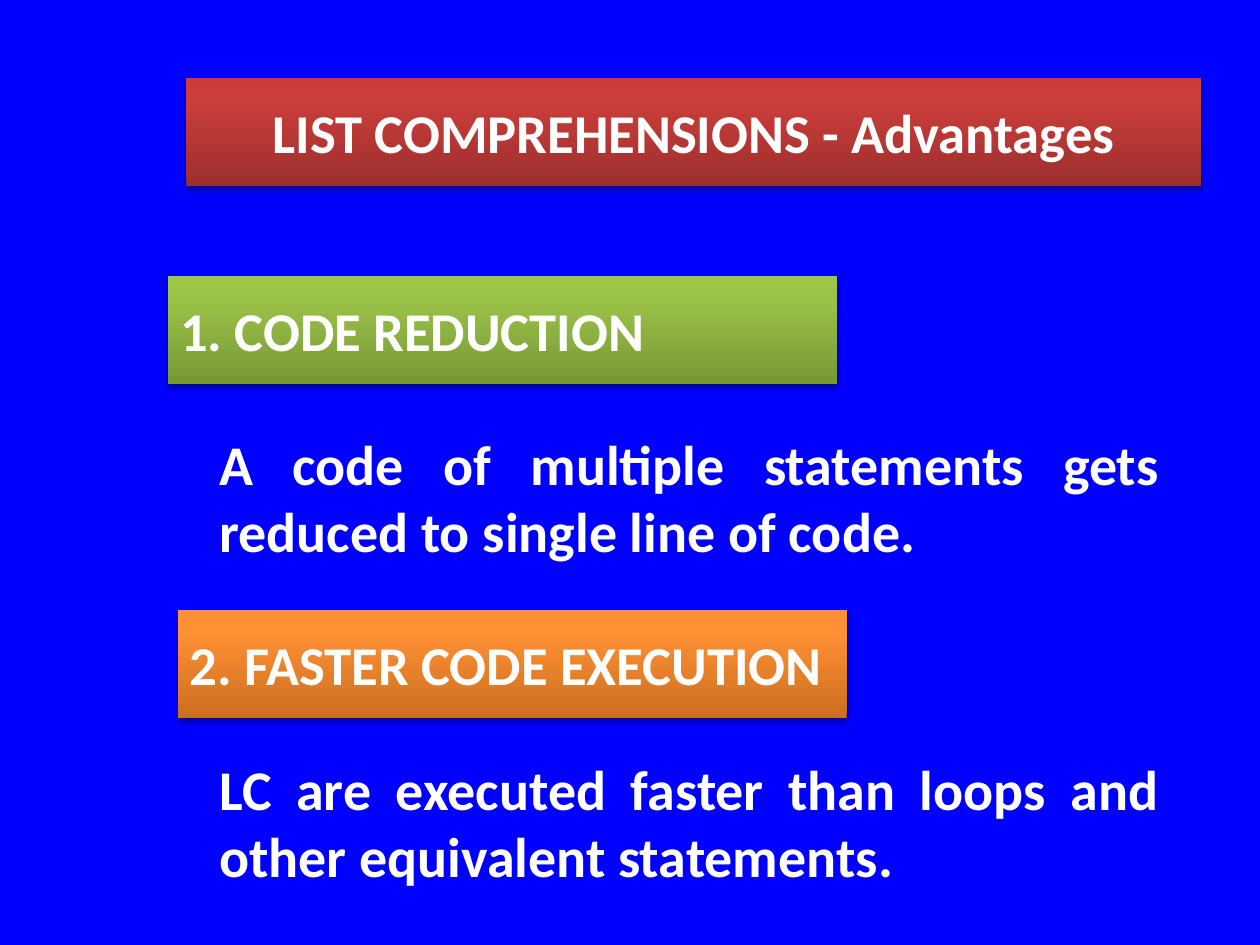
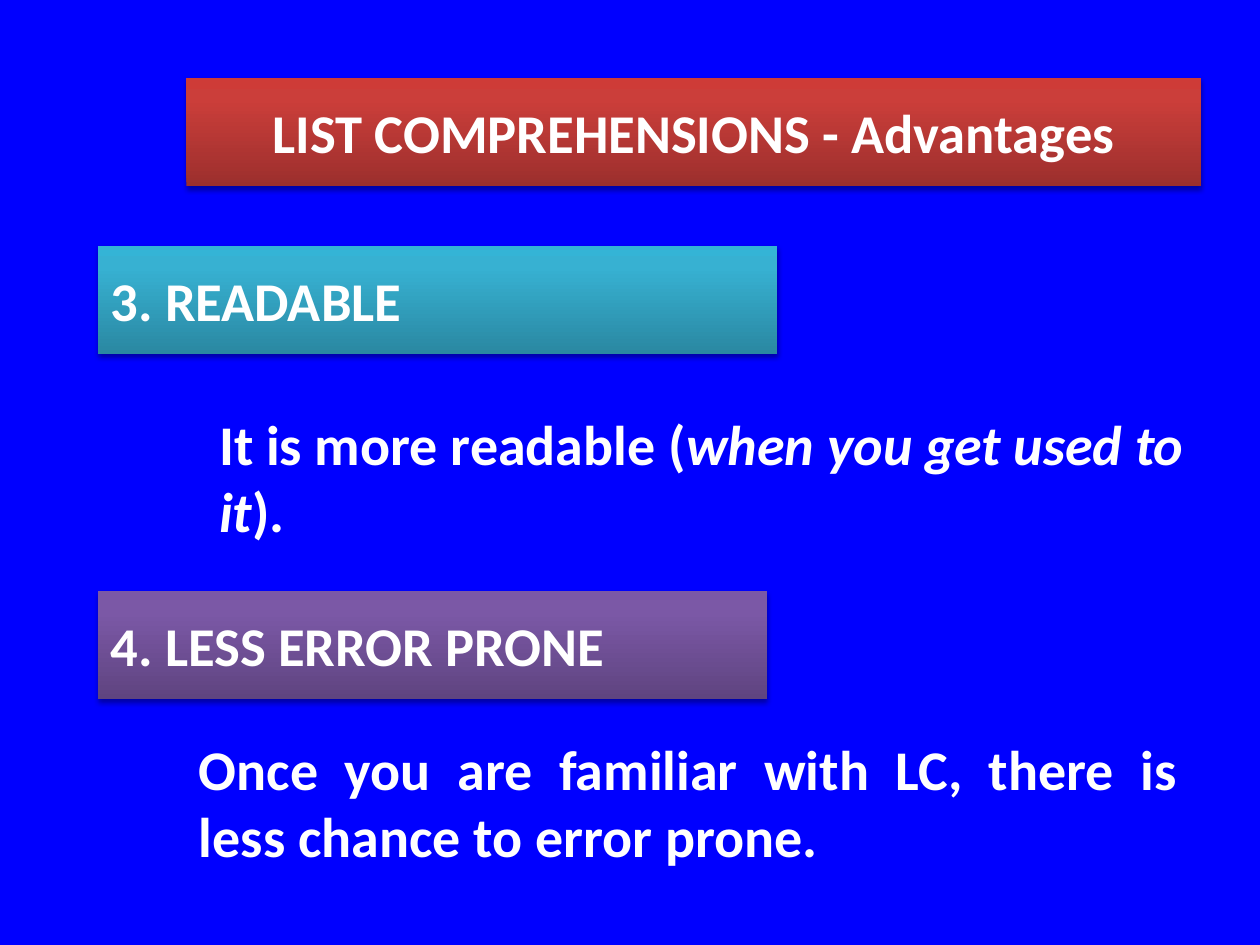
from copy import deepcopy

from lxml.etree import SubElement
from pptx import Presentation
from pptx.dml.color import RGBColor
from pptx.enum.shapes import MSO_SHAPE as Shape
from pptx.enum.text import MSO_ANCHOR as Anchor, MSO_AUTO_SIZE as AutoSize, PP_ALIGN as Align
from pptx.oxml.ns import qn
from pptx.util import Cm, Pt

COLORS = {"background": "0000FF", "text": "FFFFFF", "shadow": "000000"}
# Gradient stops from the bottom edge to the top edge
GRADIENTS = {
    "red": ("9C2F2D", "CB3E3A", "CE3B37"),
    "green": ("779737", "9BC348", "9DC746"),
    "orange": ("CC6E20", "FF9034", "FF9136"),
    "teal": ("2A88A2", "37B1D2", "34B4D6"),
    "purple": ("5F4480", "7B58A6", "7C57A8"),
}
STOP_POSITIONS = (0, 0.8, 1)


class AdvantagesDeck:
    font_name = "Calibri"
    banner_size = Pt(31.2)
    body_size = Pt(32)
    banner_height = Cm(2.18)
    body_height = Cm(3)
    hanging_indent = Cm(1.42)

    def __init__(self):
        self.presentation = Presentation()
        self.presentation.slide_width = Cm(25.4)
        self.presentation.slide_height = Cm(19.05)
        self.slide = None

    def add_slide(self):
        self.slide = self.presentation.slides.add_slide(self.presentation.slide_layouts[6])
        fill = self.slide.background.fill
        fill.solid()
        fill.fore_color.rgb = RGBColor.from_string(COLORS["background"])
        self.add_banner("LIST COMPREHENSIONS - Advantages", "red", 3.76, 1.57, 20.45, Align.CENTER)

    def add_run(self, paragraph, text, size, italic=False):
        run = paragraph.add_run()
        run.text = text
        font = run.font
        font.name, font.size, font.bold = self.font_name, size, True
        font.italic = italic
        font.color.rgb = RGBColor.from_string(COLORS["text"])

    def fill_gradient(self, shape, gradient):
        shape.fill.gradient()
        shape.fill.gradient_angle = 90
        stop_list = next(shape._element.spPr.iter(qn("a:gsLst")))
        stop_list.append(deepcopy(stop_list[-1]))
        for stop, position, color in zip(shape.fill.gradient_stops, STOP_POSITIONS, GRADIENTS[gradient]):
            stop.position = position
            stop.color.rgb = RGBColor.from_string(color)

    def add_shadow(self, shape):
        shape.shadow.inherit = False
        effects = shape._element.spPr.find(qn("a:effectLst"))
        shadow = SubElement(effects, qn("a:outerShdw"), blurRad="40000", dist="23000",
                            dir="5400000", rotWithShape="0")
        color = SubElement(shadow, qn("a:srgbClr"), val=COLORS["shadow"])
        SubElement(color, qn("a:alpha"), val="35000")

    def add_banner(self, text, gradient, left, top, width=13.49, align=Align.LEFT):
        shape = self.slide.shapes.add_shape(
            Shape.RECTANGLE, Cm(left), Cm(top), Cm(width), self.banner_height)
        self.fill_gradient(shape, gradient)
        shape.line.fill.background()
        self.add_shadow(shape)
        frame = shape.text_frame
        frame.word_wrap = True
        frame.vertical_anchor = Anchor.MIDDLE
        paragraph = frame.paragraphs[0]
        paragraph.alignment = align
        properties = paragraph._p.get_or_add_pPr()
        properties.set("marL", str(self.hanging_indent))
        properties.set("indent", str(-self.hanging_indent))
        self.add_run(paragraph, text, self.banner_size)

    def add_body(self, runs, left, top, width, align=Align.JUSTIFY):
        """Add a paragraph from (text, italic) pairs."""
        box = self.slide.shapes.add_textbox(Cm(left), Cm(top), Cm(width), self.body_height)
        frame = box.text_frame
        frame.word_wrap = True
        frame.auto_size = AutoSize.SHAPE_TO_FIT_TEXT
        paragraph = frame.paragraphs[0]
        paragraph.alignment = align
        for text, italic in runs:
            self.add_run(paragraph, text, self.body_size, italic)


def main():
    deck = AdvantagesDeck()

    deck.add_slide()
    deck.add_banner("1. CODE REDUCTION", "green", 3.38, 5.56)
    deck.add_banner("2. FASTER CODE EXECUTION", "orange", 3.58, 12.29)
    deck.add_body([("A code of multiple statements gets reduced to single line of code.", False)],
                  4.17, 8.53, 19.46)
    deck.add_body([("LC are executed faster than loops and other equivalent statements.", False)],
                  4.17, 15.09, 19.46)

    deck.add_slide()
    deck.add_body([("It is more readable (", False), ("when you get used to it", True), (").", False)],
                  4.17, 8.13, 20.24, Align.LEFT)
    deck.add_banner("3. READABLE", "teal", 1.98, 4.95, 13.69)
    deck.add_banner("4. LESS ERROR PRONE", "purple", 1.98, 11.91)
    deck.add_body([("Once you are familiar with LC, there is less chance to error prone.", False)],
                  3.76, 14.68, 20.24)

    deck.presentation.save("out.pptx")


if __name__ == "__main__":
    main()
